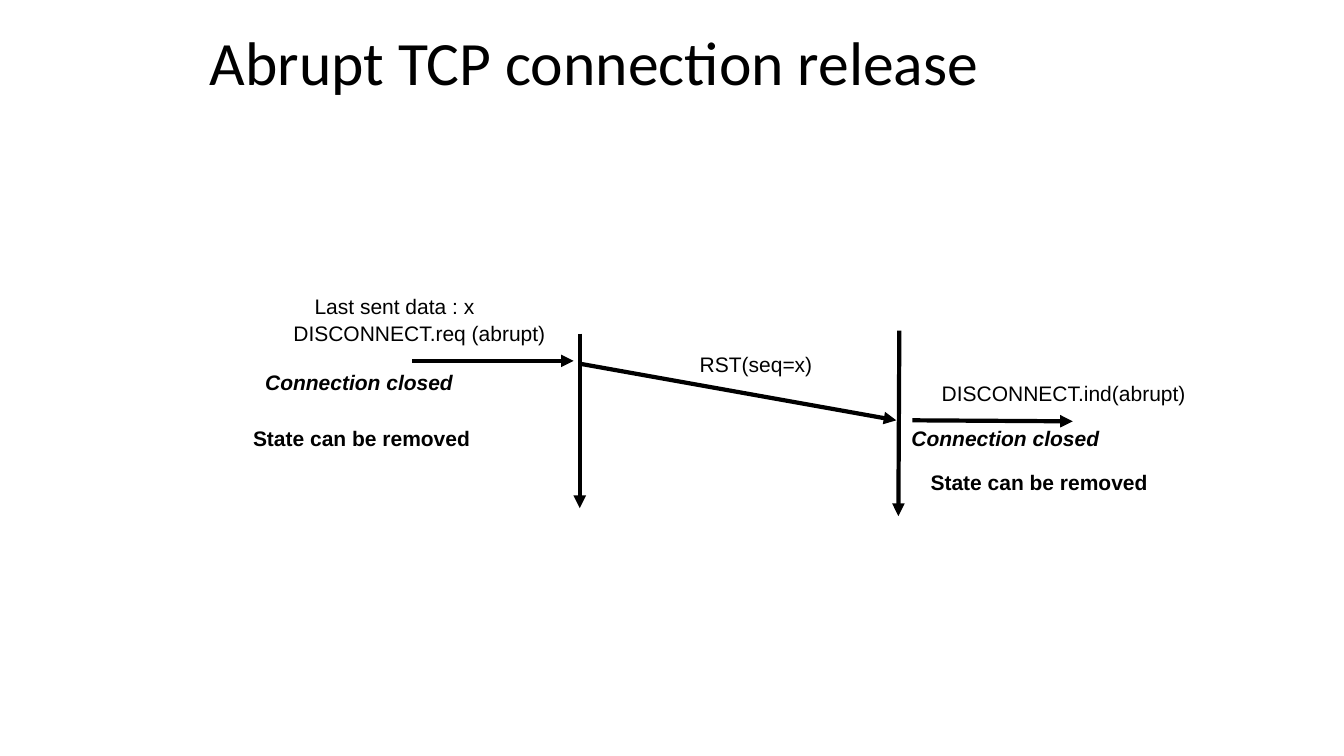
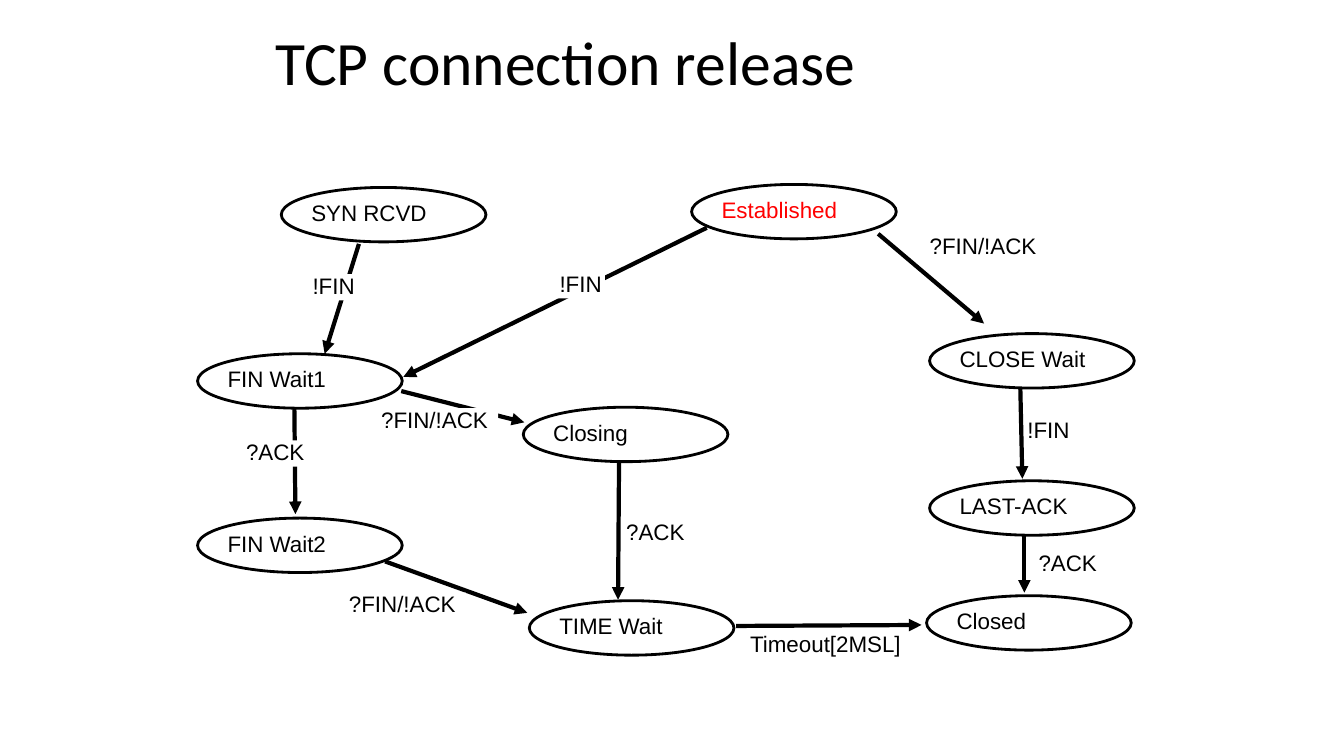
import pptx
import pptx.util
import pptx.dml.color
import pptx.enum.shapes
import pptx.enum.text
import pptx.oxml.ns
import lxml.etree

Inches, Pt = pptx.util.Inches, pptx.util.Pt
MIDDLE = pptx.enum.text.MSO_ANCHOR.MIDDLE
LEFT = pptx.enum.text.PP_ALIGN.LEFT
BLACK, WHITE, RED = "000000", "FFFFFF", "FF0000"
LINE_SPACING = 0.84


def rgb(color):
    """Turn a hex string into a colour."""
    return pptx.dml.color.RGBColor.from_string(color)


def write(shape, text, size, font="Arial", color=BLACK, bold=False, italic=False):
    """Write one left-aligned, vertically centred line into a shape."""
    tf = shape.text_frame
    tf.word_wrap = True
    tf.vertical_anchor = MIDDLE
    p = tf.paragraphs[0]
    p.alignment = LEFT
    p.line_spacing = LINE_SPACING
    r = p.add_run()
    r.text = text
    r.font.name, r.font.size = font, Pt(size)
    r.font.bold, r.font.italic = bold, italic
    r.font.color.rgb = rgb(color)


def clear_margins(tf):
    """Remove the inner margins of a text frame."""
    tf.margin_left = tf.margin_right = tf.margin_top = tf.margin_bottom = 0


def add_label(s, x, y, w, h, text, size, fill=None, bold=False, italic=False):
    """Add a one-line label, on a filled ground if a fill is given."""
    box = s.shapes.add_textbox(Inches(x), Inches(y), Inches(w), Inches(h))
    clear_margins(box.text_frame)
    if fill:
        box.fill.solid()
        box.fill.fore_color.rgb = rgb(fill)
        box.text_frame.margin_left = Inches(0.02)
    write(box, text, size, bold=bold, italic=italic)


def add_arrow(s, x1, y1, x2, y2):
    """Add a straight black arrow."""
    line = s.shapes.add_connector(
        pptx.enum.shapes.MSO_CONNECTOR.STRAIGHT,
        Inches(x1), Inches(y1), Inches(x2), Inches(y2))
    line.line.width = Pt(3)
    line.line.color.rgb = rgb(BLACK)
    qn = pptx.oxml.ns.qn
    ln = line.line._get_or_add_ln()
    lxml.etree.SubElement(ln, qn("a:tailEnd")).set("type", "triangle")
    lxml.etree.SubElement(line._element.spPr, qn("a:effectLst"))


def add_state(s, x, y, name, color=BLACK):
    """Add one state as an outlined ellipse."""
    state = s.shapes.add_shape(
        pptx.enum.shapes.MSO_SHAPE.OVAL,
        Inches(x), Inches(y), Inches(2.03), Inches(0.54))
    state.shadow.inherit = False
    state.fill.background()
    state.line.color.rgb = rgb(BLACK)
    state.line.width = Pt(2)
    clear_margins(state.text_frame)
    write(state, name, 16, color=color)


def add_slide(prs, title, x, w):
    """Add a slide with its title at the top."""
    s = prs.slides.add_slide(prs.slide_layouts[5])
    shape = s.shapes.title
    shape.left, shape.top = Inches(x), Inches(0)
    shape.width, shape.height = Inches(w), Inches(1.32)
    write(shape, title, 44, font="Calibri")
    return s


def sequence_diagram(s, x, y):
    """Draw the abrupt release between two hosts from a top left corner."""
    arrows = [
        (3.25, 0.36, 3.25, 2.09),
        (6.42, 0.33, 6.41, 2.17),
        (3.26, 0.66, 6.39, 1.22),
        (1.59, 0.63, 3.19, 0.63),
        (6.55, 1.22, 8.14, 1.23),
    ]
    for x1, y1, x2, y2 in arrows:
        add_arrow(s, x + x1, y + y1, x + x2, y + y2)
    labels = [
        (0.62, 0, "Last sent data : x", False, False),
        (0.41, 0.26, "DISCONNECT.req (abrupt)", False, False),
        (4.44, 0.57, "RST(seq=x)", False, False),
        (6.84, 0.86, "DISCONNECT.ind(abrupt)", False, False),
    ]
    for dx, dy in [(0.13, 0.75), (6.54, 1.31)]:
        labels.append((dx, dy, "Connection closed", True, True))
    for dx, dy in [(0.01, 1.31), (6.73, 1.74)]:
        labels.append((dx, dy, "State can be removed", True, False))
    for dx, dy, text, bold, italic in labels:
        add_label(s, x + dx, y + dy, 2.7, 0.22, text, 15, bold=bold, italic=italic)


def state_diagram(s, x, y):
    """Draw the states and transitions of a release from a top left corner."""
    states = [
        (0.83, 0.03, "SYN RCVD", BLACK),
        (4.9, 0, "Established", RED),
        (0, 1.68, "FIN Wait1", BLACK),
        (7.26, 1.48, "CLOSE Wait", BLACK),
        (3.23, 2.21, "Closing", BLACK),
        (0, 3.31, "FIN Wait2", BLACK),
        (7.26, 2.94, "LAST-ACK", BLACK),
        (3.29, 4.13, "TIME Wait", BLACK),
        (7.23, 4.08, "Closed", BLACK),
    ]
    for dx, dy, name, color in states:
        add_state(s, x + dx, y + dy, name, color)

    label_widths = {"!FIN": 0.47, "?ACK": 0.65, "?FIN/!ACK": 1.18, "Timeout[2MSL]": 1.63}
    transitions = [
        ((1.6, 0.59, 1.26, 1.68), "!FIN", 1.12, 0.89),
        ((5.05, 0.43, 2.04, 1.91), "!FIN", 3.57, 0.87),
        ((6.75, 0.49, 7.8, 1.38), "?FIN/!ACK", 7.24, 0.5),
        ((2.02, 2.05, 3.24, 2.36), "?FIN/!ACK", 1.8, 2.22),
        ((0.96, 2.23, 0.97, 3.27), "?ACK", 0.46, 2.54),
        ((4.18, 2.74, 4.17, 4.12), "?ACK", 4.23, 3.34),
        ((1.86, 3.74, 3.27, 4.25), "?FIN/!ACK", 1.48, 4.05),
        ((8.16, 2.02, 8.18, 2.92), "!FIN", 8.21, 2.32),
        ((8.2, 3.49, 8.2, 4.05), "?ACK", 8.32, 3.64),
        ((5.34, 4.38, 7.18, 4.37), "Timeout[2MSL]", 5.46, 4.45),
    ]
    for (x1, y1, x2, y2), event, dx, dy in transitions:
        add_arrow(s, x + x1, y + y1, x + x2, y + y2)
        add_label(s, x + dx, y + dy, label_widths[event], 0.26, event, 16, fill=WHITE)


def main():
    """Build and save the presentation."""
    prs = pptx.Presentation()
    prs.slide_width, prs.slide_height = Inches(13.33), Inches(7.5)
    sequence_diagram(add_slide(prs, "Abrupt TCP connection release", 1.98, 9.41), 2.5, 2.95)
    state_diagram(add_slide(prs, "TCP connection release", 2.63, 8.76), 1.96, 1.83)
    prs.save("out.pptx")


if __name__ == "__main__":
    main()
